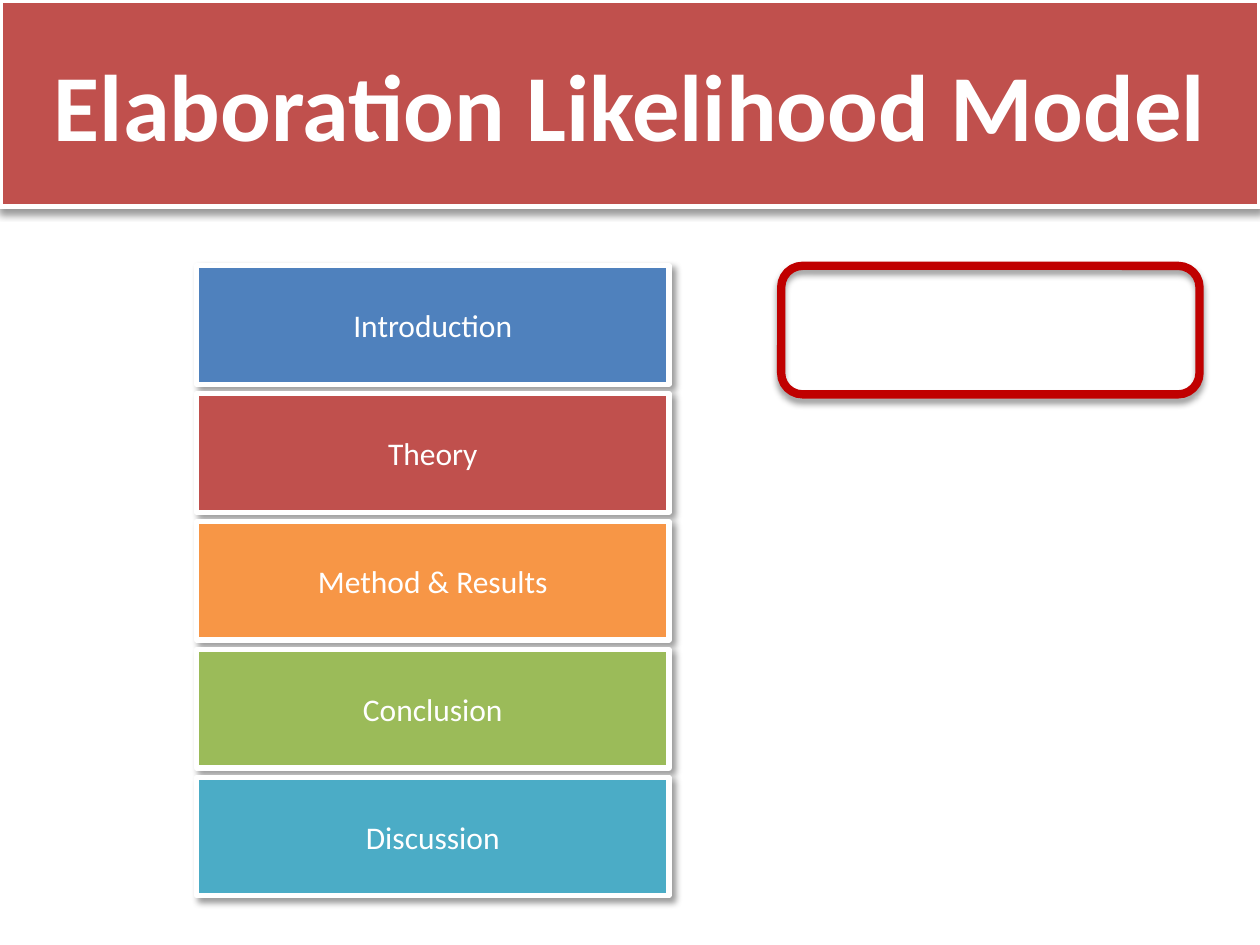
"""Build the Elaboration Likelihood Model outline slide."""
from lxml import etree
from pptx import Presentation, util as u
from pptx.dml.color import RGBColor
from pptx.enum import shapes, text
from pptx.oxml.ns import qn

TITLE = "Elaboration Likelihood Model"
STEPS = [
    ("Introduction", "blue"),
    ("Theory", "red"),
    ("Method & Results", "orange"),
    ("Conclusion", "green"),
    ("Discussion", "teal"),
]
COLORS = {
    "white": "FFFFFF", "black": "000000", "blue": "4F81BD", "red": "C0504D",
    "orange": "F79646", "green": "9BBB59", "teal": "4BACC6", "frame": "C00000",
}
LEFT, TOP, WIDTH, HEIGHT, PITCH = 1.56, 2.11, 3.75, 0.94, 1.015


def rgb(name):
    return RGBColor.from_string(COLORS[name])


def place(shape, *box):
    shape.left, shape.top, shape.width, shape.height = map(u.Inches, box)


def style(shape, fill, line, width, angle):
    if fill:
        shape.fill.solid()
        shape.fill.fore_color.rgb = rgb(fill)
    else:
        shape.fill.background()
    shape.line.color.rgb = rgb(line)
    shape.line.width = u.Pt(width)
    shape.shadow.inherit = False
    effects = shape._element.spPr.find(qn("a:effectLst"))
    shade = etree.SubElement(
        effects, qn("a:outerShdw"), blurRad=str(u.Pt(4)), dist=str(u.Pt(3)),
        dir=str(angle * 60000), algn="ctr", rotWithShape="0")
    color = etree.SubElement(shade, qn("a:srgbClr"), val=COLORS["black"])
    etree.SubElement(color, qn("a:alpha"), val="40000")


def write(shape, words, size, bold=False):
    frame = shape.text_frame
    frame.text = words
    frame.word_wrap = True
    frame.auto_size = text.MSO_AUTO_SIZE.NONE
    frame.vertical_anchor = text.MSO_ANCHOR.MIDDLE
    para = frame.paragraphs[0]
    para.alignment = text.PP_ALIGN.CENTER
    para.font.name = "Calibri"
    para.font.size = u.Pt(size)
    para.font.bold = bold
    para.font.color.rgb = rgb("white")


deck = Presentation()
deck.slide_width, deck.slide_height = u.Inches(10), u.Inches(7.5)
slide = deck.slides.add_slide(deck.slide_layouts[5])

title = slide.shapes.title
place(title, 0, 0, 10, 1.64)
wave = etree.SubElement(title._element.spPr, qn("a:prstGeom"), prst="flowChartDocument")
etree.SubElement(wave, qn("a:avLst"))
style(title, "red", "white", 3, 90)
write(title, TITLE, 54, True)


def add(kind, *box):
    return slide.shapes.add_shape(kind, *map(u.Inches, box))


for row, (label, color) in enumerate(STEPS):
    step = add(shapes.MSO_SHAPE.RECTANGLE, LEFT, TOP + row * PITCH, WIDTH, HEIGHT)
    style(step, color, "white", 3, 45)
    write(step, label, 18)

marker = add(shapes.MSO_SHAPE.ROUNDED_RECTANGLE, 6.2, TOP, 3.32, 1.02)
style(marker, None, "frame", 4.75, 90)

deck.save("out.pptx")
